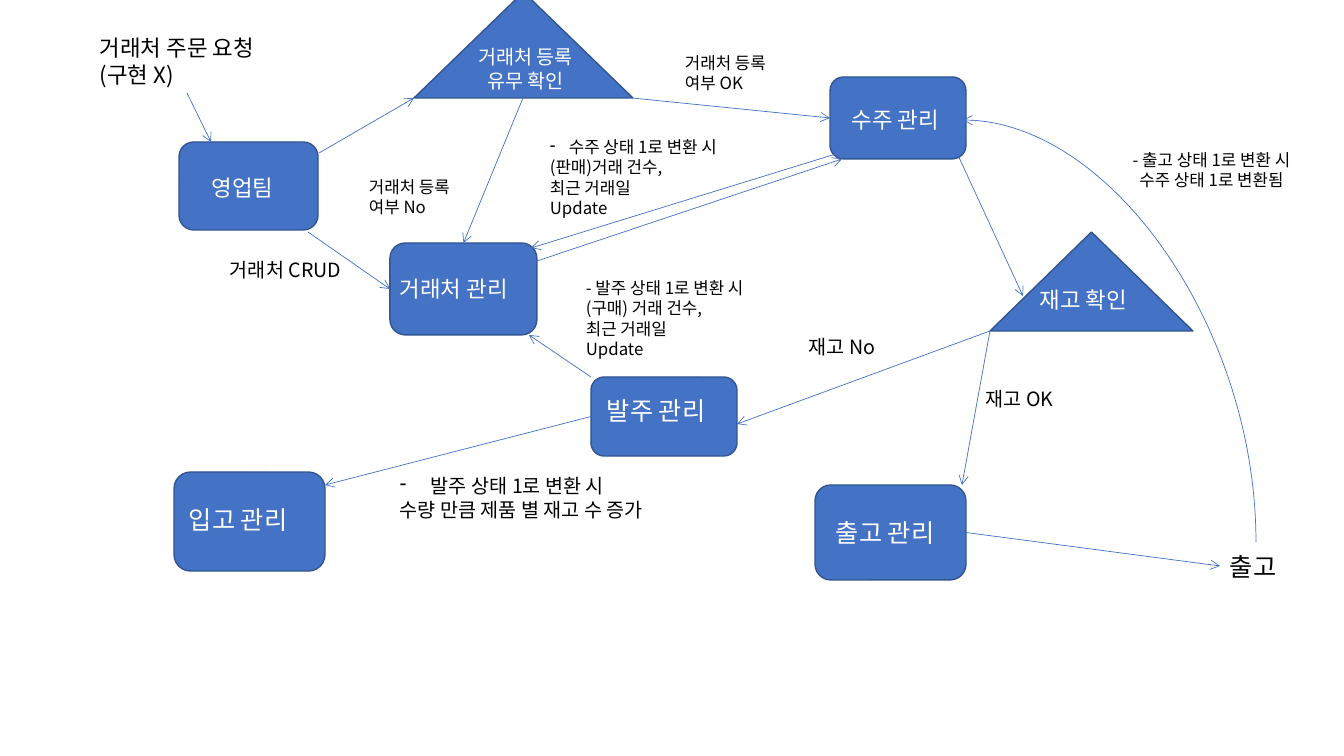
from lxml import etree
from pptx import Presentation
from pptx.dml.color import RGBColor
from pptx.enum.shapes import MSO_CONNECTOR, MSO_SHAPE
from pptx.enum.text import MSO_AUTO_SIZE, PP_ALIGN
from pptx.oxml.ns import qn
from pptx.util import Pt

ROUNDED = MSO_SHAPE.ROUNDED_RECTANGLE
TRIANGLE = MSO_SHAPE.ISOSCELES_TRIANGLE
STRAIGHT, CURVE = MSO_CONNECTOR.STRAIGHT, MSO_CONNECTOR.CURVE
LEFT, CENTER = PP_ALIGN.LEFT, PP_ALIGN.CENTER
FIT_SHAPE = MSO_AUTO_SIZE.SHAPE_TO_FIT_TEXT
TOP_SIDE, LEFT_SIDE, RIGHT_SIDE = 0, 1, 3

SLIDE_WIDTH, SLIDE_HEIGHT = 1344, 756
EMU_PER_PX = 914400 / 100.8
FONT = "Noto Sans CJK KR"
COLORS = {"fill": "4472C4", "outline": "325491", "white": "FFFFFF", "black": "000000"}

NODES = {
    "sales": (ROUNDED, (179, 142, 139, 88)),
    "client": (ROUNDED, (390, 243, 147, 92)),
    "purchase": (ROUNDED, (591, 377, 146, 79)),
    "receiving": (ROUNDED, (174, 472, 151, 99)),
    "order": (ROUNDED, (830, 77, 136, 82)),
    "client check": (TRIANGLE, (414, -8, 219, 106)),
    "stock check": (TRIANGLE, (990, 232, 203, 99)),
    "shipping": (ROUNDED, (815, 485, 151, 95)),
}

LABELS = {
    "sales name": ((202, 169, 107, 37), 16, "white", LEFT, 0, ["영업팀"]),
    "client name": ((390, 270, 150, 37), 16, "white", LEFT, 0, ["거래처 관리"]),
    "order name": ((828, 101, 135, 37), 16, "white", CENTER, 0, ["수주 관리"]),
    "client check name": ((454, 40, 143, 57), 14, "white", CENTER, 0, ["거래처 등록 유무 확인"]),
    "stock check name": ((1030, 281, 131, 37), 16, "white", LEFT, 0, ["재고 확인"]),
    "purchase name": ((597, 390, 135, 40), 18, "white", LEFT, 0, ["발주 관리"]),
    "receiving name": ((179, 499, 149, 40), 18, "white", LEFT, 0, ["입고 관리"]),
    "shipping name": ((826, 512, 131, 40), 18, "white", LEFT, 0, ["출고 관리"]),
    "release": ((1220, 546, 135, 40), 18, "black", LEFT, 0, ["출고"]),
    "client missing": ((359, 172, 111, 50), 12, "black", LEFT, 0, ["거래처 등록 여부 No"]),
    "client found": ((675, 48, 111, 50), 12, "black", LEFT, 0, ["거래처 등록 여부 OK"]),
    "purchase update": ((576, 273, 220, 92), 12, "black", LEFT, 0,
                        ["- 발주 상태 1로 변환 시", "(구매) 거래 건수,", "최근 거래일", "Update"]),
    "order update": ((540, 132, 207, 92), 12, "black", LEFT, 19,
                     ["수주 상태 1로 변환 시", "(판매)거래 건수,", "최근 거래일", "Update"]),
    "stock found": ((976, 382, 127, 34), 14, "black", LEFT, 0, ["재고 OK"]),
    "stock missing": ((799, 330, 127, 34), 14, "black", LEFT, 0, ["재고 No"]),
    "stock increase": ((390, 469, 365, 57), 14, "black", LEFT, 31,
                       ["발주 상태 1로 변환 시", "수량 만큼 제품 별 재고 수 증가"]),
    "shipping update": ((1110, 145, 203, 50), 12, "black", CENTER, 0,
                        ["- 출고 상태 1로 변환 시", "수주 상태 1로 변환됨"]),
    "client edit": ((220, 253, 234, 34), 14, "black", LEFT, 0, ["거래처 CRUD"]),
    "request": ((90, 29, 242, 64), 16, "black", LEFT, 0, ["거래처 주문 요청", "(구현 X)"]),
}

ARROWS = [
    ((319, 153), (414, 98)),
    ((523, 98), ("client", TOP_SIDE)),
    ((632, 98), ("order", LEFT_SIDE)),
    ((531, 263), (842, 159)),
    ((957, 153), (1023, 296)),
    ((990, 331), (737, 424)),
    ((990, 331), (962, 485)),
    (("purchase", LEFT_SIDE), (325, 485)),
    ((591, 377), (529, 335)),
    (("shipping", RIGHT_SIDE), ("release", LEFT_SIDE)),
    ((839, 153), (531, 248)),
    ((308, 232), ("client", LEFT_SIDE)),
    ((187, 93), (211, 142)),
]
RETURN_CURVE = ((1256, 542), (963, 120))


def px(value):
    return round(value * EMU_PER_PX)


def color(name):
    return RGBColor.from_string(COLORS[name])


def apply_format(target, values):
    for name, value in values.items():
        setattr(target, name, value)


def add_node(slide, kind, box):
    shape = slide.shapes.add_shape(kind, *map(px, box))
    shape.shadow.inherit = False
    shape.fill.solid()
    shape.fill.fore_color.rgb = color("fill")
    shape.line.color.rgb = color("outline")
    shape.line.width = Pt(1)
    return shape


def add_label(slide, box, size, ink, alignment, indent, lines):
    shape = slide.shapes.add_textbox(*map(px, box))
    frame = shape.text_frame
    apply_format(frame, {"word_wrap": True, "auto_size": FIT_SHAPE, "text": "\n".join(lines)})
    for paragraph in frame.paragraphs:
        paragraph.alignment = alignment
        run = paragraph.runs[0]
        apply_format(run.font, {"name": FONT, "size": Pt(size)})
        run.font.color.rgb = color(ink)
        etree.SubElement(run.font._element, qn("a:ea"), typeface=FONT)
    if indent:
        properties = frame.paragraphs[0]._p.get_or_add_pPr()
        properties.set("marL", str(px(indent)))
        properties.set("indent", str(-px(indent)))
        etree.SubElement(properties, qn("a:buChar"), char="-")
    return shape


def add_arrow(slide, kind, start, end):
    connector = slide.shapes.add_connector(kind, *map(px, start + end))
    connector.line.color.rgb = color("fill")
    connector.line.width = Pt(0.5)
    etree.SubElement(connector.line._get_or_add_ln(), qn("a:tailEnd"), type="arrow")
    etree.SubElement(connector._element.spPr, qn("a:effectLst"))
    return connector


def add_flow(slide, shapes, start, end):
    joined = [isinstance(point[0], str) for point in (start, end)]
    points = [(0, 0) if is_joined else point for point, is_joined in zip((start, end), joined)]
    connector = add_arrow(slide, STRAIGHT, *points)
    if joined[0]:
        connector.begin_connect(shapes[start[0]], start[1])
    if joined[1]:
        connector.end_connect(shapes[end[0]], end[1])


def add_quarter_curve(slide, start, end):
    center_x, center_y = (start[0] + end[0]) / 2, (start[1] + end[1]) / 2
    half_width, half_height = (start[1] - end[1]) / 2, (start[0] - end[0]) / 2
    connector = add_arrow(slide, CURVE, (center_x - half_width, center_y + half_height),
                          (center_x + half_width, center_y - half_height))
    properties = connector._element.spPr
    properties.find(qn("a:xfrm")).set("rot", str(270 * 60000))
    properties.find(qn("a:prstGeom")).set("prst", "curvedConnector2")


def main():
    presentation = Presentation()
    apply_format(presentation, {"slide_width": px(SLIDE_WIDTH), "slide_height": px(SLIDE_HEIGHT)})
    slide = presentation.slides.add_slide(presentation.slide_layouts[6])
    shapes = {name: add_node(slide, *node) for name, node in NODES.items()}
    shapes.update({name: add_label(slide, *label) for name, label in LABELS.items()})
    for start, end in ARROWS:
        add_flow(slide, shapes, start, end)
    add_quarter_curve(slide, *RETURN_CURVE)
    presentation.save("out.pptx")


if __name__ == "__main__":
    main()
